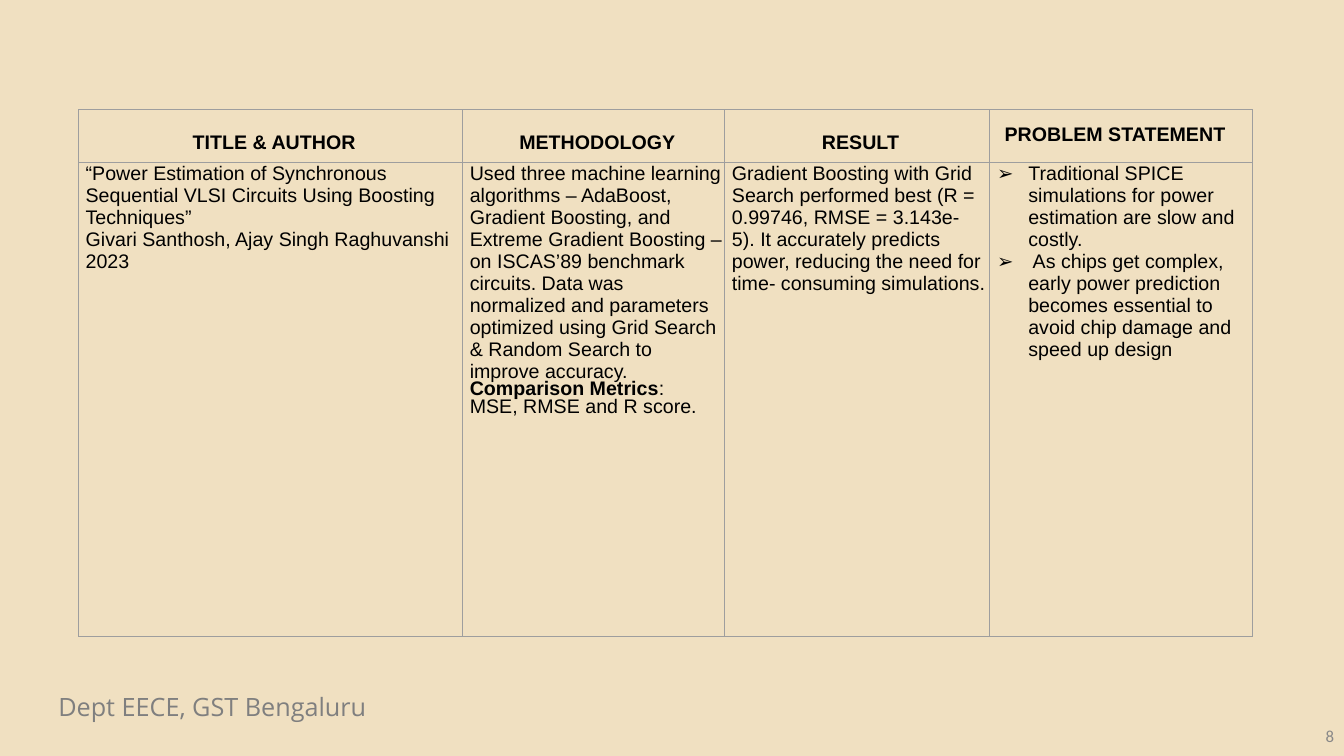
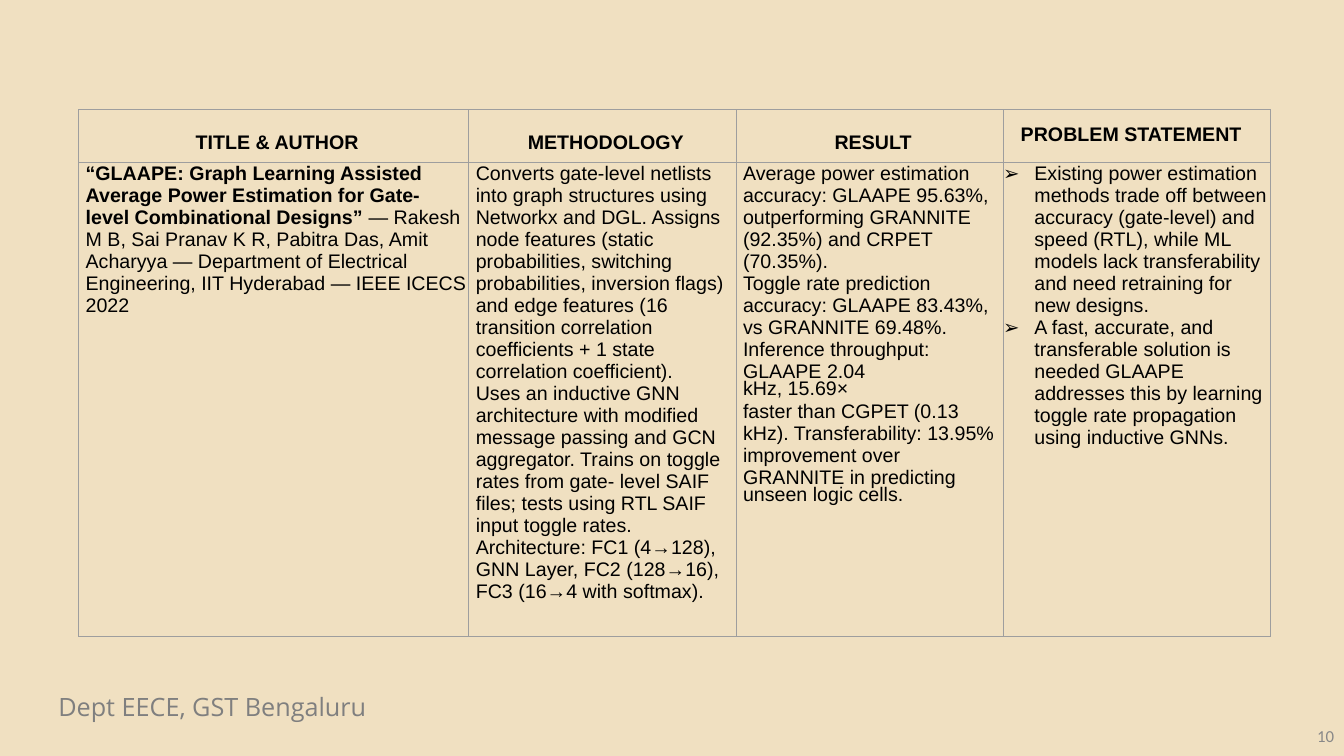
import collections

import pptx
import pptx.dml.color
import pptx.enum.text
import pptx.oxml
import pptx.oxml.ns
import pptx.util

PX = 9144  # EMU per px, 100 px to the inch
COLORS = {"paper": "F0E0C1", "ink": "000000", "rule": "9E9E9E",
          "footer": "7F7F7F", "number": "888888"}
ALIGN = pptx.enum.text.PP_ALIGN
ANCHOR = pptx.enum.text.MSO_ANCHOR
NS = pptx.oxml.ns.nsdecls("a")
TIGHT = pptx.util.Pt(12.6)
INSET = 7
ROWS = (52, 470)

# Text between ** marks is bold.
Para = collections.namedtuple("Para", "text tight bullet", defaults=(False, False))
Header = collections.namedtuple("Header", "text top right tight", defaults=(22, 0, False))

HEADERS = [
    Header("**TITLE & AUTHOR**"),
    Header("**METHODOLOGY**"),
    Header("**RESULT**"),
    Header("**PROBLEM STATEMENT**", 18, 18, True),
]


def rgb(name):
    return pptx.dml.color.RGBColor.from_string(COLORS[name])


class Deck:
    def __init__(self):
        self.prs = pptx.Presentation()
        self.prs.slide_width, self.prs.slide_height = 1333 * PX, 750 * PX
        fill = self.prs.slide_master.background.fill
        fill.solid()
        fill.fore_color.rgb = rgb("paper")
        self.s = None

    def slide(self, number):
        self.s = self.prs.slides.add_slide(self.prs.slide_layouts[6])
        self.label("Dept EECE, GST Bengaluru", (48, 681, 524, 40), "Open Sans", 18, "footer")
        self.label(str(number), (1033, 710, 300, 40), "Calibri", 12, "number",
                   ALIGN.RIGHT, ANCHOR.MIDDLE)

    def style(self, font, name, size, color):
        font.name, font.size = name, pptx.util.Pt(size)
        font.color.rgb = rgb(color)

    def label(self, text, box, font, size, color, align=ALIGN.LEFT, anchor=ANCHOR.TOP):
        tf = self.s.shapes.add_textbox(*(v * PX for v in box)).text_frame
        tf.word_wrap = True
        tf.vertical_anchor = anchor
        tf.text = text
        p = tf.paragraphs[0]
        p.alignment = align
        self.style(p.runs[0].font, font, size, color)

    def bullet(self, p):
        pPr = p._p.get_or_add_pPr()
        pPr.set("marL", str(31 * PX))
        pPr.set("indent", str(-31 * PX))
        for xml in (f'<a:buClr {NS}><a:srgbClr val="{COLORS["ink"]}"/></a:buClr>',
                    f'<a:buFont {NS} typeface="Arial"/>',
                    f'<a:buChar {NS} char="➢"/>'):
            pPr.append(pptx.oxml.parse_xml(xml))

    def paragraph(self, p, text, tight, bullet=False, align=ALIGN.LEFT):
        p.alignment = align
        if tight:
            p.line_spacing = TIGHT
        if bullet:
            self.bullet(p)
        for i, part in enumerate(text.split("**")):
            if part:
                r = p.add_run()
                r.text = part
                self.style(r.font, "Arial", 14, "ink")
                r.font.bold = i % 2 == 1

    def cell(self, cell, left, top=0, right=0):
        """Set the margins, clear the fill and rule all four sides."""
        cell.margin_left, cell.margin_top = left * PX, top * PX
        cell.margin_right, cell.margin_bottom = right * PX, 0
        cell.fill.background()
        tcPr = cell._tc.get_or_add_tcPr()
        for i, side in enumerate("LRTB"):
            tcPr.insert(i, pptx.oxml.parse_xml(
                f'<a:ln{side} {NS} w="9525"><a:solidFill>'
                f'<a:srgbClr val="{COLORS["rule"]}"/></a:solidFill></a:ln{side}>'))

    def review_table(self, widths, columns, bullet_inset):
        frame = self.s.shapes.add_table(len(ROWS), len(widths), 78 * PX, 109 * PX,
                                        sum(widths) * PX, sum(ROWS) * PX)
        table = frame.table
        table.first_row = table.horz_banding = False
        for row, height in zip(table.rows, ROWS):
            row.height = height * PX
        for i, (width, header, paras) in enumerate(zip(widths, HEADERS, columns)):
            table.columns[i].width = width * PX
            head, body = table.cell(0, i), table.cell(1, i)
            self.cell(head, INSET, header.top, header.right)
            self.paragraph(head.text_frame.paragraphs[0], header.text, header.tight,
                           align=ALIGN.CENTER)
            self.cell(body, bullet_inset if paras[0].bullet else INSET)
            tf = body.text_frame
            for j, para in enumerate(paras):
                p = tf.add_paragraph() if j else tf.paragraphs[0]
                self.paragraph(p, para.text, para.tight, para.bullet)


BOOSTING = [
    [
        Para("“Power Estimation of Synchronous Sequential VLSI Circuits Using Boosting "
             "Techniques”"),
        Para("Givari Santhosh, Ajay Singh Raghuvanshi"),
        Para("2023"),
    ],
    [
        Para("Used three machine learning algorithms – AdaBoost, Gradient Boosting, and "
             "Extreme Gradient Boosting – on ISCAS’89 benchmark circuits. Data was "
             "normalized and parameters optimized using Grid Search & Random Search to "
             "improve accuracy."),
        Para("**Comparison Metrics**:", tight=True),
        Para("MSE, RMSE and R score.", tight=True),
    ],
    [
        Para("Gradient Boosting with Grid Search performed best (R = 0.99746, "
             "RMSE = 3.143e-"),
        Para("5). It accurately predicts power, reducing the need for time- consuming "
             "simulations."),
    ],
    [
        Para("Traditional SPICE simulations for power estimation are slow and costly.",
             bullet=True),
        Para(" As chips get complex, early power prediction becomes essential to avoid "
             "chip damage and speed up design", bullet=True),
    ],
]

GLAAPE = [
    [
        Para("**“GLAAPE: Graph Learning Assisted Average Power Estimation for Gate- level "
             "Combinational Designs” **— Rakesh M B, Sai Pranav K R, Pabitra Das, Amit "
             "Acharyya — Department of Electrical Engineering, IIT Hyderabad — IEEE ICECS "
             "2022"),
    ],
    [
        Para("Converts gate-level netlists into graph structures using Networkx and DGL. "
             "Assigns node features (static probabilities, switching probabilities, "
             "inversion flags) and edge features (16 transition correlation coefficients "
             "+ 1 state correlation coefficient)."),
        Para("Uses an inductive GNN architecture with modified message passing and GCN "
             "aggregator. Trains on toggle rates from gate- level SAIF files; tests using "
             "RTL SAIF input toggle rates. Architecture: FC1 (4→128), GNN Layer, FC2 "
             "(128→16),"),
        Para("FC3 (16→4 with softmax)."),
    ],
    [
        Para("Average power estimation accuracy: GLAAPE 95.63%,"),
        Para("outperforming GRANNITE (92.35%) and CRPET (70.35%)."),
        Para("Toggle rate prediction accuracy: GLAAPE 83.43%, vs GRANNITE 69.48%."),
        Para("Inference throughput: GLAAPE 2.04"),
        Para("kHz, 15.69×", tight=True),
        Para("faster than CGPET (0.13"),
        Para("kHz). Transferability: 13.95%"),
        Para("improvement over GRANNITE in predicting"),
        Para("unseen logic cells.", tight=True),
    ],
    [
        Para("Existing power estimation methods trade off between accuracy (gate-level) "
             "and speed (RTL), while ML models lack transferability and need retraining "
             "for new designs.", bullet=True),
        Para("A fast, accurate, and transferable solution is needed GLAAPE addresses this "
             "by learning toggle rate propagation using inductive GNNs.", bullet=True),
    ],
]


def main():
    deck = Deck()
    deck.slide(8)
    deck.review_table((381, 260, 262, 261), BOOSTING, bullet_inset=8)
    deck.slide(10)
    deck.review_table((387, 265, 265, 265), GLAAPE, bullet_inset=0)
    deck.prs.save("out.pptx")


if __name__ == "__main__":
    main()
